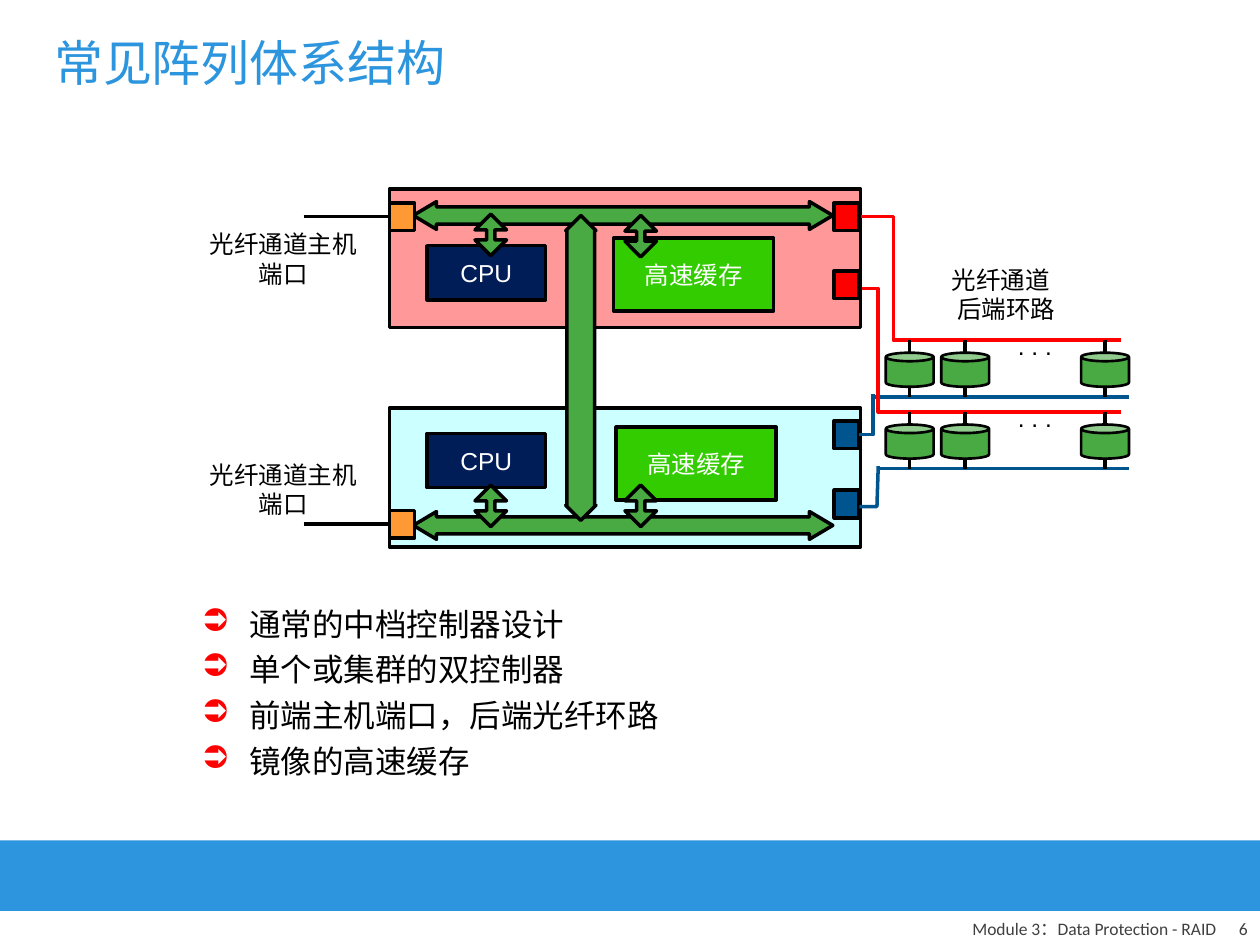
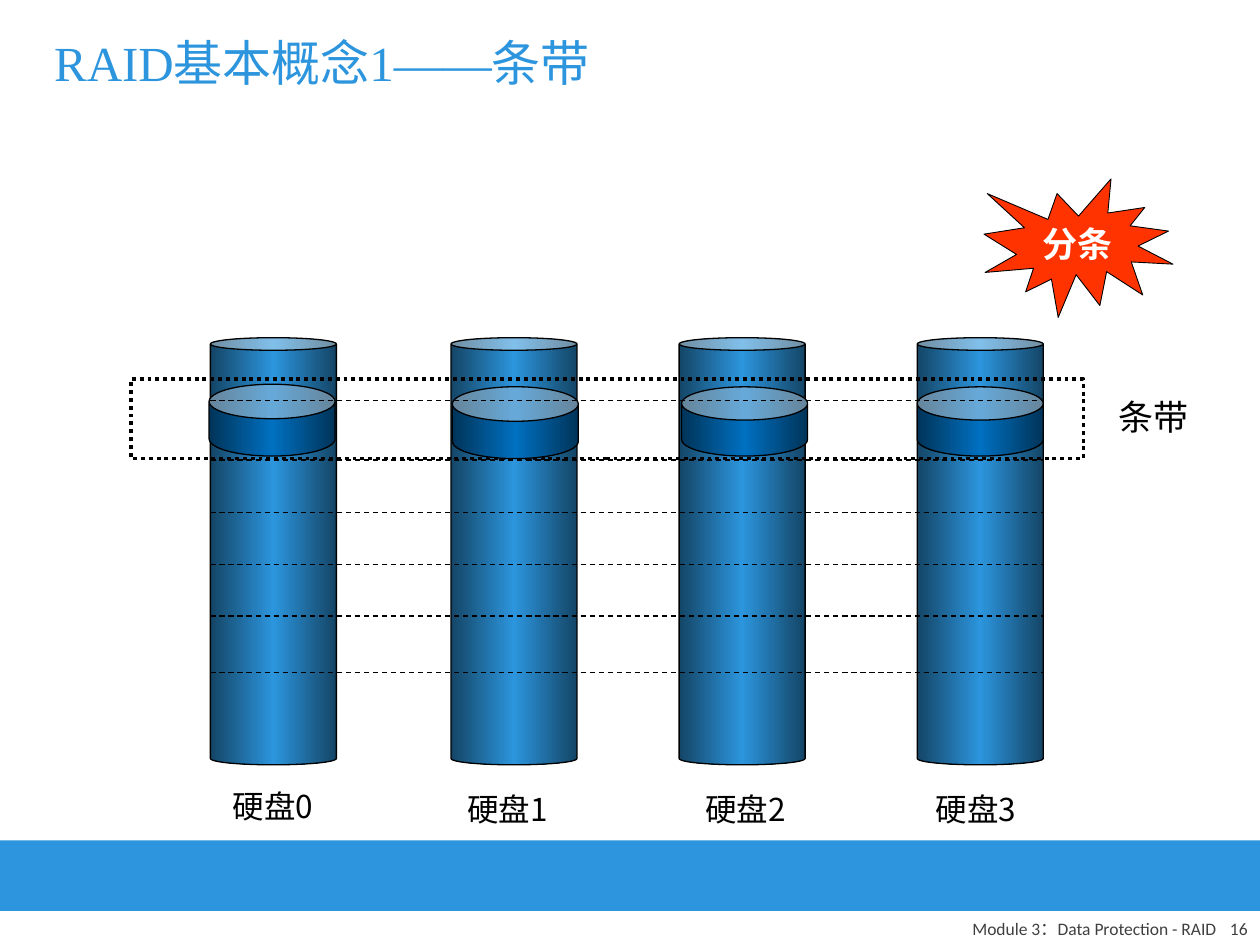
from copy import deepcopy

from lxml.etree import SubElement
from pptx import Presentation
from pptx.dml.color import RGBColor
from pptx.enum.dml import MSO_LINE
from pptx.enum.shapes import MSO_CONNECTOR, MSO_SHAPE as Preset
from pptx.enum.text import MSO_ANCHOR as Anchor, PP_ALIGN as Align
from pptx.oxml.ns import qn
from pptx.util import Emu, Pt

PX = 9144  # 100 px to the inch
WIDTH, HEIGHT = 1000, 750

BLACK = RGBColor(0x00, 0x00, 0x00)
WHITE = RGBColor(0xFF, 0xFF, 0xFF)
GRAY = RGBColor(0x40, 0x40, 0x40)
SKY = RGBColor(0x2C, 0x95, 0xDD)
DEEP_SKY = RGBColor(0x14, 0x45, 0x66)
BLUE = RGBColor(0x00, 0x70, 0xC0)
DEEP_BLUE = RGBColor(0x00, 0x34, 0x59)
LOOP_BLUE = RGBColor(0x00, 0x55, 0x8E)
NAVY = RGBColor(0x00, 0x1D, 0x58)
RED = RGBColor(0xFF, 0x00, 0x00)
BURST_RED = RGBColor(0xFF, 0x33, 0x00)
PINK = RGBColor(0xFF, 0x99, 0x99)
CYAN = RGBColor(0xCC, 0xFF, 0xFF)
ORANGE = RGBColor(0xFF, 0x99, 0x33)
LIME = RGBColor(0x33, 0xCC, 0x00)
GREEN = RGBColor(0x49, 0xA9, 0x42)

EAST_ASIAN_FONT = "Noto Sans CJK SC"
TITLE = {"size": Pt(28), "name": "Times New Roman"}
FOOTER = {"size": Pt(10), "name": "Calibri"}
LABEL = {"size": Pt(14), "name": "Arial"}
BULLET = {"size": Pt(18), "name": "Arial"}
STRIPE = {"size": Pt(20), "name": "Arial"}
BURST = {**STRIPE, "bold": True}
DISK_NAME = {"size": Pt(18), "name": EAST_ASIAN_FONT}

FOOTER_TEXT = "Module 3：Data Protection - RAID"

# Slide 1: boxes are left, top, width, height
ARCHITECTURE_TITLE = "常见阵列体系结构"
CONTROLLERS = [
    {"top": 150, "color": PINK, "cache": (487, 189), "cpu_top": 195,
     "bus_top": 160, "link_tops": (170, 171), "host_top": 161,
     "label_top": 177, "loop_color": RED, "loop_tops": (161, 215)},
    {"top": 324, "color": CYAN, "cache": (489, 339), "cpu_top": 344,
     "bus_top": 406, "link_tops": (385, 385), "host_top": 405,
     "label_top": 360, "loop_color": LOOP_BLUE, "loop_tops": (334, 389)},
]
HOST_LABEL = "光纤通道主机端口"
LOOP_LABEL = ["光纤通道 ", " 后端环路"]
MIRROR_ARROW = (449, 171, 24, 242)
LOOPS = [
    {"top": 270,
     "red": [(683, 172), (709, 172), (709, 270), (890, 270)],
     "blue": [(693, 313), (693, 345), (682, 345)],
     "blue_start": 692},
    {"top": 327,
     "red": [(684, 229), (697, 229), (697, 327), (890, 327)],
     "blue": [(697, 370), (696, 402), (682, 402)],
     "blue_start": 697},
]
LOOP_DISK_LEFTS = [703, 747, 858]
FEATURES = [
    "通常的中档控制器设计",
    "单个或集群的双控制器",
    "前端主机端口，后端光纤环路",
    "镜像的高速缓存",
]

# Slide 2
STRIPING_TITLE = "RAID基本概念1——条带"
DISKS = [
    {"name": "硬盘0", "left": 167, "slice": (166, 305, 100, 57), "label": (175, 620)},
    {"name": "硬盘1", "left": 358, "slice": (359, 307, 100, 57), "label": (361, 622)},
    {"name": "硬盘2", "left": 539, "slice": (541, 307, 100, 55), "label": (550, 622)},
    {"name": "硬盘3", "left": 728, "slice": (728, 307, 100, 55), "label": (733, 622)},
]
STRIPE_LINE_TOPS = [318, 365, 407, 448, 489, 534]


def px(*lengths):
    return [Emu(length * PX) for length in lengths]


def write(text_frame, lines, color, font_format, align=Align.LEFT, anchor=Anchor.TOP):
    text_frame.word_wrap = True
    text_frame.vertical_anchor = anchor
    for index, line in enumerate(lines):
        paragraph = text_frame.paragraphs[0] if index == 0 else text_frame.add_paragraph()
        paragraph.alignment = align
        run = paragraph.add_run()
        run.text = line
        run.font.color.rgb = color
        for name, value in font_format.items():
            setattr(run.font, name, value)
        SubElement(run.font._element, qn("a:ea"), typeface=EAST_ASIAN_FONT)


def add_text(slide, box, lines, font_format, color=BLACK, **placement):
    text_box = slide.shapes.add_textbox(*px(*box))
    write(text_box.text_frame, lines, color, font_format, **placement)
    return text_box


def set_line(line, color, width, dash=None):
    line.color.rgb = color
    for name, value in {"width": Pt(width), "dash_style": dash}.items():
        setattr(line, name, value)


def add_shape(slide, preset, box, fill=None, line_width=2, dash=None, adjustments=()):
    shape = slide.shapes.add_shape(preset, *px(*box))
    shape.shadow.inherit = False
    for index, value in enumerate(adjustments):
        shape.adjustments[index] = value
    if fill is None:
        shape.fill.background()
    else:
        shape.fill.solid()
        shape.fill.fore_color.rgb = fill
    if line_width:
        set_line(shape.line, BLACK, line_width, dash)
    else:
        shape.line.fill.background()
    return shape


def add_line(slide, start, end, color=BLACK, width=2, dash=None):
    connector = slide.shapes.add_connector(MSO_CONNECTOR.STRAIGHT, *px(*start, *end))
    set_line(connector.line, color, width, dash)
    SubElement(connector._element.spPr, qn("a:effectLst"))
    return connector


def add_polyline(slide, points, color):
    builder = slide.shapes.build_freeform(*points[0], scale=PX)
    builder.add_line_segments(points[1:], close=False)
    shape = builder.convert_to_shape()
    shape.shadow.inherit = False
    shape.fill.background()
    set_line(shape.line, color, 2)


def add_cylinder(slide, box, edge, middle, lid):
    """Draw a can shaded from edge to middle and back to edge."""
    can = add_shape(slide, Preset.CAN, box, middle, 0.75, adjustments=[lid])
    can.fill.gradient()
    can.fill.gradient_angle = 0
    for stop, color, position in zip(can.fill.gradient_stops, (edge, middle), (0, 0.5)):
        stop.color.rgb = color
        stop.position = position
    stops = can._element.spPr.find(".//" + qn("a:gsLst"))
    last_stop = deepcopy(stops[0])
    last_stop.set("pos", "100000")
    stops.append(last_stop)


def add_framed_slide(presentation, title, number):
    """Add a slide with the title, band and footer that all slides share."""
    slide = presentation.slides.add_slide(presentation.slide_layouts[5])
    placeholder = slide.shapes.title
    for name, value in zip(("left", "top", "width", "height"), px(33, 8, 925, 83)):
        setattr(placeholder, name, value)
    write(placeholder.text_frame, [title], SKY, TITLE, anchor=Anchor.MIDDLE)
    add_shape(slide, Preset.RECTANGLE, (0, 667, WIDTH, 56), SKY, line_width=0)
    for left, width, text in ((517, 458, FOOTER_TEXT), (950, 50, str(number))):
        add_text(slide, (left, 725, width, 25), [text], FOOTER, GRAY,
                 align=Align.RIGHT, anchor=Anchor.BOTTOM)
    return slide


def add_block(slide, box, fill, text):
    block = add_shape(slide, Preset.RECTANGLE, box, fill)
    write(block.text_frame, [text], WHITE, LABEL, Align.CENTER, Anchor.MIDDLE)


def add_controller(slide, controller):
    add_shape(slide, Preset.RECTANGLE, (309, controller["top"], 374, 110), controller["color"])
    add_block(slide, (*controller["cache"], 127, 58), LIME, "高速缓存")
    add_block(slide, (339, controller["cpu_top"], 94, 43), NAVY, "CPU")
    add_shape(slide, Preset.LEFT_RIGHT_ARROW, (328, controller["bus_top"], 333, 22), GREEN,
              adjustments=[0.62, 0.84])
    for left, top in zip((377, 496), controller["link_tops"]):
        add_shape(slide, Preset.UP_DOWN_ARROW, (left, top, 25, 33), GREEN,
                  adjustments=[0.5, 0.26])
    host_top = controller["host_top"]
    host_port = add_shape(slide, Preset.RECTANGLE, (309, host_top, 20, 22), ORANGE)
    host_line = add_line(slide, (241, host_top + 11), (309, host_top + 11))
    host_line.end_connect(host_port, 1)
    for top in controller["loop_tops"]:
        add_shape(slide, Preset.RECTANGLE, (662, top, 20, 22), controller["loop_color"])
    add_text(slide, (150, controller["label_top"], 150, 38), [HOST_LABEL], LABEL,
             align=Align.CENTER)


def add_loop(slide, loop):
    top = loop["top"]
    bottom = top + 45
    add_polyline(slide, loop["blue"], LOOP_BLUE)
    add_line(slide, (loop["blue_start"], bottom), (896, bottom), LOOP_BLUE)
    add_polyline(slide, loop["red"], RED)
    add_text(slide, (798, top - 12, 88, 42), [". . ."], LABEL)
    for left in LOOP_DISK_LEFTS:
        add_line(slide, (left + 19, top), (left + 19, bottom))
        add_shape(slide, Preset.CAN, (left, top + 10, 38, 27), GREEN, 1.5, adjustments=[0.25])


def add_features(slide):
    text_box = add_text(slide, (150, 475, 484, 195), FEATURES, BULLET)
    for paragraph in text_box.text_frame.paragraphs:
        paragraph.space_before = Pt(4.5)
        properties = paragraph._p.get_or_add_pPr()
        properties.set("marL", str(38 * PX))
        properties.set("indent", str(-38 * PX))
        bullet_color = SubElement(properties, qn("a:buClr"))
        SubElement(bullet_color, qn("a:srgbClr"), val=str(RED))
        SubElement(properties, qn("a:buChar"), char="➲")


def build_architecture(presentation):
    slide = add_framed_slide(presentation, ARCHITECTURE_TITLE, 6)
    add_features(slide)
    for controller in CONTROLLERS:
        add_controller(slide, controller)
    add_shape(slide, Preset.UP_DOWN_ARROW, MIRROR_ARROW, GREEN, adjustments=[0.51, 0.92])
    for loop in LOOPS:
        add_loop(slide, loop)
    add_text(slide, (703, 205, 187, 52), LOOP_LABEL, LABEL, align=Align.CENTER)


def build_striping(presentation):
    slide = add_framed_slide(presentation, STRIPING_TITLE, 16)
    for disk in DISKS:
        add_cylinder(slide, (disk["left"], 268, 100, 339), DEEP_SKY, SKY, 0.1)
        add_text(slide, (*disk["label"], 100, 40), [disk["name"]], DISK_NAME)
    add_shape(slide, Preset.RECTANGLE, (104, 301, 756, 63), None, 2.25, MSO_LINE.ROUND_DOT)
    for disk in DISKS:
        add_cylinder(slide, disk["slice"], DEEP_BLUE, BLUE, 0.48)
    for top in STRIPE_LINE_TOPS:
        add_line(slide, (167, top), (828, top), width=0.75, dash=MSO_LINE.DASH)
    burst = add_shape(slide, Preset.EXPLOSION1, (781, 142, 150, 110), BURST_RED, 0.5)
    write(burst.text_frame, ["分条"], WHITE, BURST, Align.CENTER, Anchor.MIDDLE)
    add_text(slide, (872, 311, 87, 39), ["条带"], STRIPE,
             align=Align.CENTER, anchor=Anchor.MIDDLE)


def main():
    presentation = Presentation()
    presentation.slide_width, presentation.slide_height = px(WIDTH, HEIGHT)
    build_architecture(presentation)
    build_striping(presentation)
    presentation.save("out.pptx")


if __name__ == "__main__":
    main()
